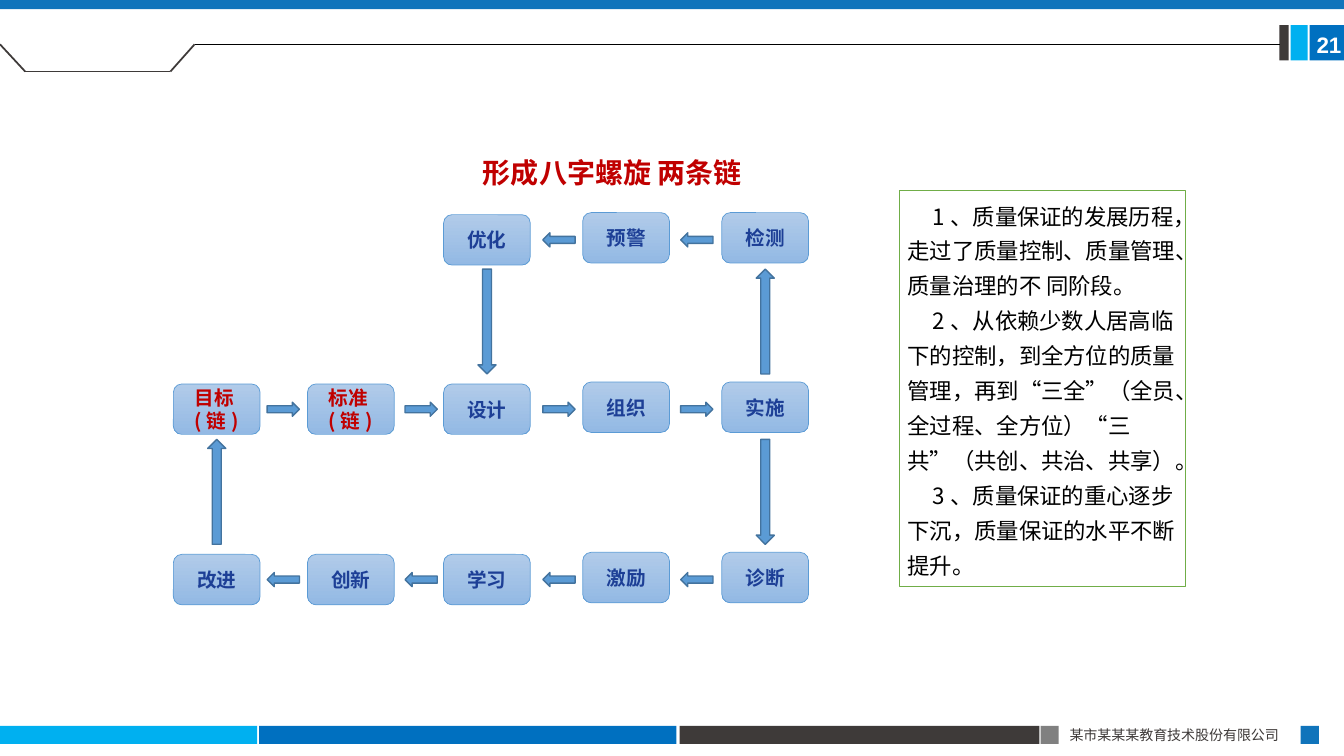
import dataclasses
import lxml.etree
import pptx
import pptx.dml.color
import pptx.enum.shapes
import pptx.enum.text
import pptx.oxml.ns
import pptx.util

Inches = pptx.util.Inches
Kind = pptx.enum.shapes.MSO_SHAPE
Align = pptx.enum.text.PP_ALIGN
Anchor = pptx.enum.text.MSO_ANCHOR
Fit = pptx.enum.text.MSO_AUTO_SIZE
qn = pptx.oxml.ns.qn


@dataclasses.dataclass(frozen=True)
class Theme:
    sky: str = "00B0F0"
    blue: str = "0070C0"
    steel: str = "1074BB"
    dark: str = "3E3A39"
    gray: str = "808080"
    white: str = "FFFFFF"
    black: str = "000000"
    red: str = "C00000"
    navy: str = "1D3F96"
    green: str = "70AD47"
    arrow: str = "5B9BD5"
    edge: str = "43739E"
    light: str = "B1CBE9"
    deep: str = "93B9E4"
    han: str = "Noto Sans CJK SC"
    title_font: str = "Calibri"
    page_font: str = "Arial"
    title: int = 20
    body: int = 16
    node: int = 14
    foot: int = 10


@dataclasses.dataclass(frozen=True)
class Box:
    left: float
    top: float
    width: float
    height: float


@dataclasses.dataclass(frozen=True)
class Bar:
    box: Box
    color: str


@dataclasses.dataclass(frozen=True)
class Line:
    start: tuple[float, float]
    end: tuple[float, float]
    color: str
    weight: float


@dataclasses.dataclass(frozen=True)
class Chain:
    top: float
    first: int
    names: tuple[str, ...]
    arrow: Kind


@dataclasses.dataclass(frozen=True)
class Link:
    col: int
    top: float
    kind: Kind


THEME = Theme()
BARS = (
    Bar(Box(0, 7.2, 2.55, 0.18), THEME.sky),
    Bar(Box(2.57, 7.2, 4.14, 0.18), THEME.blue),
    Bar(Box(6.74, 7.2, 3.57, 0.18), THEME.dark),
    Bar(Box(10.32, 7.2, 0.18, 0.18), THEME.gray),
    Bar(Box(12.9, 7.2, 0.18, 0.18), THEME.steel),
    Bar(Box(12.99, 0.25, 0.34, 0.35), THEME.blue),
    Bar(Box(12.8, 0.25, 0.17, 0.35), THEME.sky),
    Bar(Box(12.69, 0.25, 0.09, 0.35), THEME.dark),
    Bar(Box(0, 0, 13.33, 0.09), THEME.steel),
)
LINES = (
    Line((0.25, 0.71), (1.69, 0.71), THEME.dark, 1.25),
    Line((1.69, 0.71), (1.93, 0.44), THEME.dark, 1.25),
    Line((0.25, 0.71), (0, 0.44), THEME.dark, 1.25),
    Line((1.93, 0.44), (12.7, 0.44), THEME.black, 0.5),
)
COLS = (1.72, 3.05, 4.4, 5.78, 7.16)
NODE_W, NODE_H = 0.86, 0.5
CHAINS = (
    Chain(2.13, 2, ("优化", "预警", "检测"), Kind.LEFT_ARROW),
    Chain(3.81, 0, ("目标(链)", "标准(链)", "设计", "组织", "实施"), Kind.RIGHT_ARROW),
    Chain(5.5, 0, ("改进", "创新", "学习", "激励", "诊断"), Kind.LEFT_ARROW),
)
LINKS = (
    Link(4, 2.67, Kind.UP_ARROW),
    Link(2, 2.67, Kind.DOWN_ARROW),
    Link(4, 4.36, Kind.DOWN_ARROW),
    Link(0, 4.36, Kind.UP_ARROW),
)
POINTS = (
    "1、质量保证的发展历程，走过了质量控制、质量管理、质量治理的不 同阶段。",
    "2、从依赖少数人居高临下的控制，到全方位的质量管理，再到“三全”（全员、全过程、全方位）“三共”（共创、共治、共享）。",
    "3、质量保证的重心逐步下沉，质量保证的水平不断提升。",
)


def rgb(color: str) -> pptx.dml.color.RGBColor:
    return pptx.dml.color.RGBColor.from_string(color)


def place(shape, box: Box) -> None:
    shape.left, shape.top = Inches(box.left), Inches(box.top)
    shape.width, shape.height = Inches(box.width), Inches(box.height)


def style(para, size: int, color: str, bold: bool = False, face: str = THEME.han) -> None:
    for run in para.runs:
        font = run.font
        font.size, font.bold, font.name = pptx.util.Pt(size), bold, face
        font.color.rgb = rgb(color)
        east = lxml.etree.SubElement(run._r.get_or_add_rPr(), qn("a:ea"))
        east.set("typeface", THEME.han)


def pad(frame, side: float, edge: float) -> None:
    frame.margin_left = frame.margin_right = Inches(side)
    frame.margin_top = frame.margin_bottom = Inches(edge)


def add_form(slide, kind: Kind, box: Box, fill: str, edge: str = "", weight: float = 0):
    shape = slide.shapes.add_shape(kind, 0, 0, 0, 0)
    place(shape, box)
    shape.shadow.inherit = False
    shape.fill.solid()
    shape.fill.fore_color.rgb = rgb(fill)
    if edge:
        shape.line.color.rgb = rgb(edge)
        shape.line.width = pptx.util.Pt(weight)
    else:
        shape.line.fill.background()
    return shape


def add_line(slide, line: Line) -> None:
    ends = [Inches(value) for value in line.start + line.end]
    wire = slide.shapes.add_connector(pptx.enum.shapes.MSO_CONNECTOR.STRAIGHT, *ends)
    wire.line.color.rgb = rgb(line.color)
    wire.line.width = pptx.util.Pt(line.weight)
    lxml.etree.SubElement(wire._element.spPr, qn("a:effectLst"))


def add_node(slide, text: str, left: float, top: float) -> None:
    box = Box(left, top, NODE_W, NODE_H)
    node = add_form(slide, Kind.ROUNDED_RECTANGLE, box, THEME.light, THEME.arrow, 0.5)
    node.fill.gradient()
    node.fill.gradient_angle = 270
    for stop, color in zip(node.fill.gradient_stops, (THEME.light, THEME.deep)):
        stop.color.rgb = rgb(color)
    frame = node.text_frame
    frame.text, frame.word_wrap, frame.vertical_anchor = text, True, Anchor.MIDDLE
    pad(frame, 0.08, 0.04)
    para = frame.paragraphs[0]
    para.alignment = Align.CENTER
    style(para, THEME.node, THEME.red if "链" in text else THEME.navy, True)


def add_chain(slide, chain: Chain) -> None:
    for col, name in enumerate(chain.names, chain.first):
        add_node(slide, name, COLS[col], chain.top - (0.02 if col > 2 else 0))
    for gap in range(chain.first, len(COLS) - 1):
        box = Box(2.65 + 1.367 * gap, chain.top + 0.18, 0.32, 0.14)
        add_form(slide, chain.arrow, box, THEME.arrow, THEME.edge, 1)


def add_label(slide, text: str, box: Box, size: int, color: str, bold: bool, face: str) -> None:
    label = slide.shapes.add_textbox(0, 0, 0, 0)
    place(label, box)
    frame = label.text_frame
    frame.text, frame.word_wrap = text, True
    frame.margin_right = 0
    style(frame.paragraphs[0], size, color, bold, face)


def fill_title(title) -> None:
    place(title, Box(4.69, 1.49, 2.85, 0.44))
    frame = title.text_frame
    frame.text = "形成八字螺旋 两条链"
    frame.word_wrap, frame.auto_size, frame.vertical_anchor = False, Fit.NONE, Anchor.TOP
    pad(frame, 0.1, 0.05)
    frame.paragraphs[0].alignment = Align.LEFT
    style(frame.paragraphs[0], THEME.title, THEME.red, True, THEME.title_font)


def fill_body(body) -> None:
    place(body, Box(8.92, 1.89, 2.84, 3.93))
    body.line.color.rgb = rgb(THEME.green)
    body.line.width = pptx.util.Pt(0.75)
    frame = body.text_frame
    frame.text = "\n".join(POINTS)
    frame.word_wrap, frame.auto_size, frame.vertical_anchor = True, Fit.NONE, Anchor.TOP
    pad(frame, 0.08, 0.04)
    for para in frame.paragraphs:
        props = para._p.get_or_add_pPr()
        props.set("marL", "0")
        props.set("indent", str(Inches(0.25)))
        lxml.etree.SubElement(props, qn("a:buNone"))
        para.line_spacing, para.space_before = 1.3, pptx.util.Pt(0)
        style(para, THEME.body, THEME.black)


def main() -> None:
    deck = pptx.Presentation()
    deck.slide_width, deck.slide_height = Inches(13.33), Inches(7.5)
    slide = deck.slides.add_slide(deck.slide_layouts[1])
    fill_title(slide.shapes.title)
    fill_body(slide.placeholders[1])
    for bar in BARS:
        add_form(slide, Kind.RECTANGLE, bar.box, bar.color)
    for line in LINES:
        add_line(slide, line)
    add_label(slide, "某市某某某教育技术股份有限公司", Box(10.51, 7.16, 2.4, 0.27),
              THEME.foot, THEME.dark, False, THEME.han)
    add_label(slide, "21", Box(12.96, 0.26, 0.37, 0.37),
              THEME.body, THEME.white, True, THEME.page_font)
    for chain in CHAINS:
        add_chain(slide, chain)
    for link in LINKS:
        box = Box(COLS[link.col] + 0.34, link.top, 0.18, 1.04)
        add_form(slide, link.kind, box, THEME.arrow, THEME.edge, 1)
    deck.save("out.pptx")


if __name__ == "__main__":
    main()
